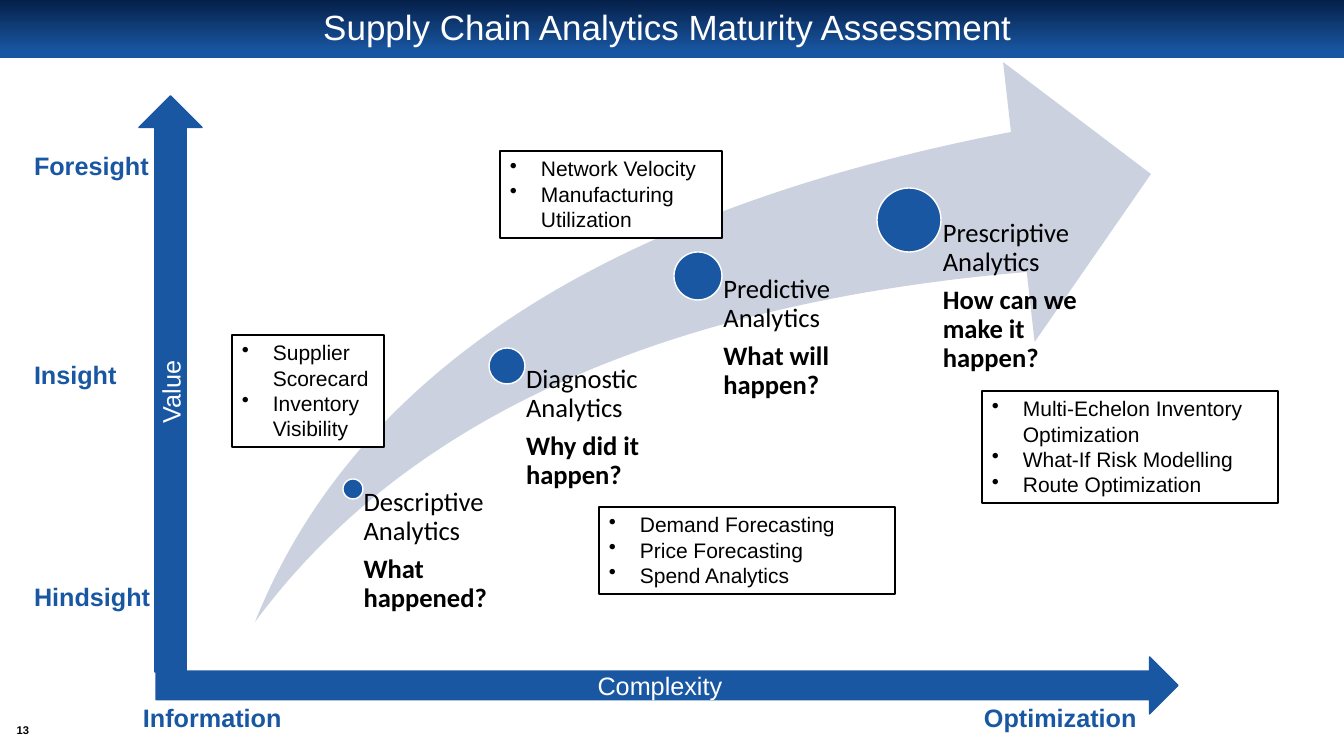
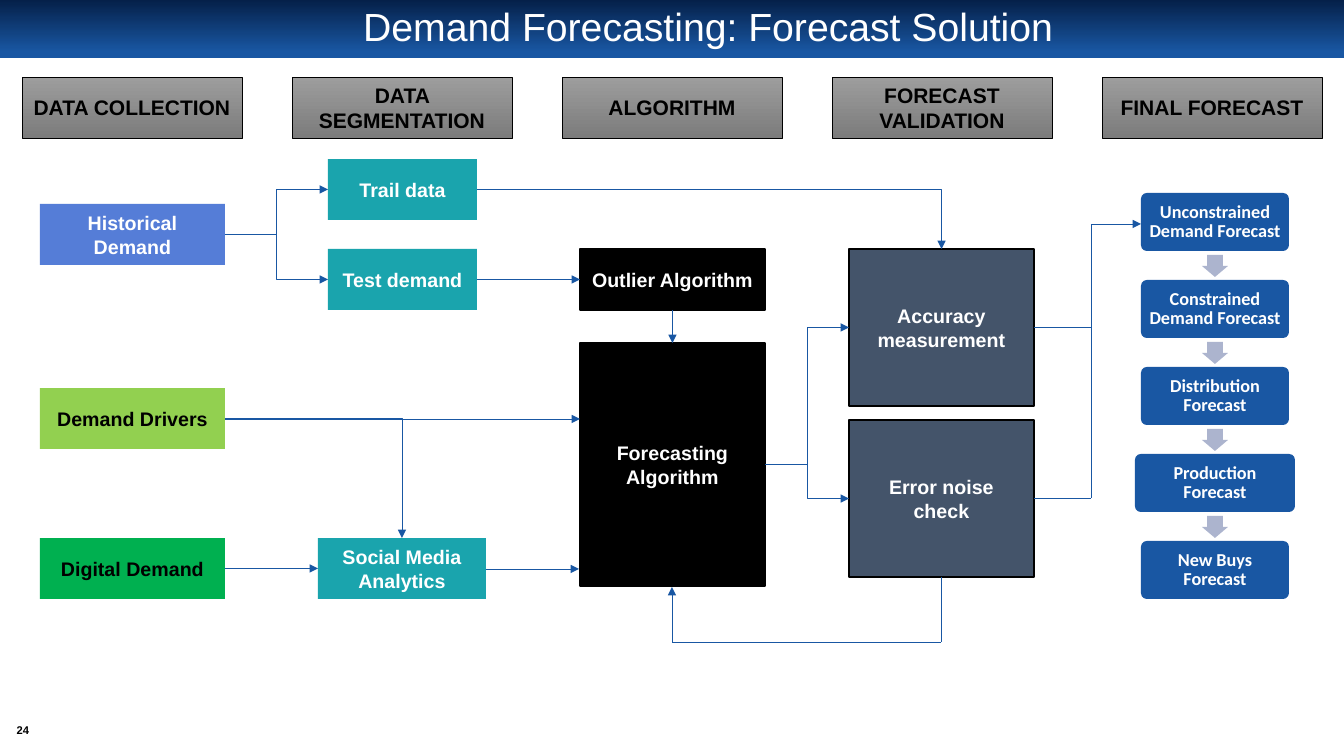
from lxml.etree import SubElement
from pptx import Presentation
from pptx.dml.color import RGBColor
from pptx.enum.shapes import MSO_CONNECTOR as CONN, MSO_SHAPE as SHAPE
from pptx.enum.text import MSO_ANCHOR as ANCHOR, MSO_AUTO_SIZE as AUTO, PP_ALIGN as ALIGN
from pptx.oxml.ns import qn
from pptx.util import Emu, Pt

NAVY = RGBColor(0x05, 0x20, 0x49)
BLUE = RGBColor(0x19, 0x57, 0xA3)
WHITE = RGBColor(0xFF, 0xFF, 0xFF)
BLACK = RGBColor(0x00, 0x00, 0x00)
SWOOSH = RGBColor(0xCC, 0xD1, 0xE0)
LAVENDER = RGBColor(0xAC, 0xB4, 0xCE)
PERIWINKLE = RGBColor(0x55, 0x7D, 0xD7)
LIME = RGBColor(0x92, 0xD0, 0x50)
GREEN = RGBColor(0x00, 0xB0, 0x50)
TEAL = RGBColor(0x1A, 0xA4, 0xAD)
SLATE = RGBColor(0x44, 0x54, 0x6A)
GREY_TOP = RGBColor(0x9D, 0x9D, 0x9D)
GREY_END = RGBColor(0x7C, 0x7C, 0x7C)

WIDTH, HEIGHT = 1344, 756
TOP, LEFT, BOTTOM, RIGHT = range(4)


def px(n):
    """Turn pixels into EMU."""
    return Emu(round(n * 914400 / 100.8))


def write(s, *lines, size=14, color=BLACK, bold=False, font="Arial", align=ALIGN.LEFT,
          anchor=ANCHOR.TOP, inset=None, spacing=None, after=0, bullet=False):
    """Fill a shape with one formatted paragraph for each line."""
    tf = s.text_frame
    tf.word_wrap = True
    tf.auto_size = AUTO.NONE
    tf.vertical_anchor = anchor
    if inset is not None:
        tf.margin_left, tf.margin_top, tf.margin_right, tf.margin_bottom = map(px, inset)
    for i, line in enumerate(lines):
        p = tf.add_paragraph() if i else tf.paragraphs[0]
        if bullet:
            pPr = p._p.get_or_add_pPr()
            pPr.set("marL", str(px(31)))
            pPr.set("indent", str(-px(31)))
            SubElement(pPr, qn("a:buChar")).set("char", "•")
        p.alignment = align
        p.space_after = Pt(after)
        if spacing:
            p.line_spacing = spacing
        r = p.add_run()
        r.text = line
        r.font.size = Pt(size)
        r.font.name = font
        r.font.bold = bold
        r.font.color.rgb = color
    return tf


def label(slide, box, *lines, **fmt):
    """Add a text box without insets unless they are given."""
    s = slide.shapes.add_textbox(*map(px, box))
    write(s, *lines, **{"inset": (0, 0, 0, 0), **fmt})
    return s


def shape(slide, kind, box, fill, line=None, weight=1, adj=()):
    """Add a flat preset shape with a plain or a two-colour gradient fill."""
    s = slide.shapes.add_shape(kind, *map(px, box))
    s.shadow.inherit = False
    for i, value in enumerate(adj):
        s.adjustments[i] = value
    if isinstance(fill, list):
        s.fill.gradient()
        s.fill.gradient_angle = 270
        for stop, (position, color) in zip(s.fill.gradient_stops, fill):
            stop.position = position
            stop.color.rgb = color
    else:
        s.fill.solid()
        s.fill.fore_color.rgb = fill
    if line is None:
        s.line.fill.background()
    else:
        s.line.color.rgb = line
        s.line.width = Pt(weight)
    return s


def connect(slide, kind, start, end, arrow=True):
    """Add a thin blue connector between two points."""
    c = slide.shapes.add_connector(kind, *map(px, start + end))
    c.line.color.rgb = BLUE
    c.line.width = Pt(0.5)
    if arrow:
        SubElement(c.line._get_or_add_ln(), qn("a:tailEnd")).set("type", "triangle")
    SubElement(c.element.spPr, qn("a:effectLst"))
    return c


def glue(slide, a, a_site, b, b_site, kind=CONN.STRAIGHT, corner=False):
    """Join two shapes at their connection sites."""
    c = connect(slide, kind, (0, 0), (0, 0))
    c.begin_connect(a, a_site)
    c.end_connect(b, b_site)
    if corner:
        c.element.find(".//" + qn("a:prstGeom")).set("prst", "bentConnector2")


def route(slide, *points, arrow=True):
    """Draw straight segments through points, with the arrowhead on the last."""
    for i in range(len(points) - 1):
        connect(slide, CONN.STRAIGHT, points[i], points[i + 1],
                arrow and i == len(points) - 2)


def add_band(slide):
    """Draw the title band once and hand it to the layout."""
    s = shape(slide, SHAPE.RECTANGLE, (0, 0, WIDTH, 58), [(0, NAVY), (0.9, BLUE)])
    slide.slide_layout.shapes.element.insert(2, s.element)


def new_slide(prs, title, box, size, number):
    """Add a title-only slide with its title and number."""
    slide = prs.slides.add_slide(prs.slide_layouts[5])
    s = slide.shapes.title
    s.left, s.top, s.width, s.height = map(px, box)
    write(s, title, size=size, color=WHITE, align=ALIGN.CENTER,
          anchor=ANCHOR.MIDDLE, spacing=0.9)
    label(slide, (8, 720, 30, 19), number, size=8, bold=True,
          align=ALIGN.CENTER, anchor=ANCHOR.MIDDLE)
    return slide


def add_stage(slide, x, y, d, width, name, question):
    """Place a dot centred on x, y and its caption below right."""
    shape(slide, SHAPE.OVAL, (x - d / 2, y - d / 2, d, d), BLUE, WHITE)
    s = label(slide, (x, y, width, 622 - y), name, question, size=19, font="Calibri",
              inset=(d * 0.53, 0, 0, 0), spacing=0.9, after=6.65)
    s.text_frame.paragraphs[1].runs[0].font.bold = True


def add_growth(slide, box):
    """Draw the swoosh and the four analytics stages on it."""
    shape(slide, SHAPE.SWOOSH_ARROW, box, SWOOSH, adj=(0.25, 0.25))
    x, y = box[:2]
    for dx, dy, d, width, name, question in (
        (98, 427, 20, 153, "Descriptive Analytics", "What happened?"),
        (252, 304, 36, 188, "Diagnostic Analytics", "Why did it happen?"),
        (443, 214, 48, 188, "Predictive Analytics", "What will happen?"),
        (654, 158, 64, 188, "Prescriptive Analytics", "How can we make it happen?"),
    ):
        add_stage(slide, x + dx, y + dy, d, width, name, question)


def add_axes(slide):
    """Draw the two axis arrows and their tick labels."""
    fmt = dict(size=18, color=WHITE, align=ALIGN.CENTER, anchor=ANCHOR.MIDDLE)
    s = shape(slide, SHAPE.RIGHT_ARROW, (156, 657, 1022, 57), BLUE, BLUE)
    write(s, "Complexity", **fmt)
    s = shape(slide, SHAPE.UP_ARROW, (139, 96, 63, 576), BLUE, BLUE)
    write(s, "Value", **fmt)
    s.element.find(".//" + qn("a:bodyPr")).set("vert", "vert270")
    for x, y, width, text in (
        (143, 702, 178, "Information"), (984, 702, 178, "Optimization"),
        (34, 581, 136, "Hindsight"), (34, 359, 136, "Insight"), (34, 150, 136, "Foresight"),
    ):
        label(slide, (x, y, width, 30), text, size=18, color=BLUE, bold=True)


def build_maturity(prs):
    """Build the maturity slide."""
    slide = new_slide(prs, "Supply Chain Analytics Maturity Assessment",
                      (10, 6, 1314, 47), 25, "13")
    add_band(slide)
    add_growth(slide, (255, 62, 896, 560))
    add_axes(slide)
    for box, lines in (
        ((232, 335, 152, 112), ("Supplier Scorecard", "Inventory Visibility")),
        ((500, 151, 222, 87), ("Network Velocity", "Manufacturing Utilization")),
        ((599, 507, 296, 87), ("Demand Forecasting", "Price Forecasting", "Spend Analytics")),
        ((982, 391, 296, 112), ("Multi-Echelon Inventory Optimization",
                                "What-If Risk Modelling", "Route Optimization")),
    ):
        write(shape(slide, SHAPE.RECTANGLE, box, WHITE, BLACK), *lines, size=15, bullet=True)


def add_headers(slide, x, y, pitch):
    """Draw the row of phase headers."""
    for i, text in enumerate(("DATA COLLECTION", "DATA SEGMENTATION", "ALGORITHM",
                              "FORECAST VALIDATION", "FINAL FORECAST")):
        s = shape(slide, SHAPE.RECTANGLE, (x + i * pitch, y, 220, 61),
                  [(0, GREY_TOP), (1, GREY_END)], BLACK, 0.5)
        write(s, text, size=15, bold=True, align=ALIGN.CENTER, anchor=ANCHOR.MIDDLE)


def add_forecasts(slide, center, y, pitch):
    """Draw the chain of final forecasts and the arrows between them."""
    names = ("Unconstrained Demand Forecast", "Constrained Demand Forecast",
             "Distribution Forecast", "Production Forecast", "New Buys Forecast")
    for i, text in enumerate(names):
        top = y + i * pitch
        width = 160 if text.startswith("Production") else 148
        s = shape(slide, SHAPE.ROUNDED_RECTANGLE, (center - width / 2, top, width, 58),
                  BLUE, adj=(0.1,))
        write(s, text, size=13, color=WHITE, bold=True, font="Calibri", align=ALIGN.CENTER,
              anchor=ANCHOR.MIDDLE, inset=(6, 6, 6, 6), spacing=0.9)
        if i < len(names) - 1:
            shape(slide, SHAPE.DOWN_ARROW, (center - 13, top + 62, 26, 22),
                  LAVENDER, adj=(0.6, 0.5))


def add_nodes(slide):
    """Draw the process boxes and return them by name."""
    nodes = {}
    for text, box, fill, color, line in (
        ("Historical Demand", (40, 204, 185, 61), PERIWINKLE, WHITE, None),
        ("Demand Drivers", (40, 388, 185, 61), LIME, BLACK, None),
        ("Digital Demand", (40, 538, 185, 61), GREEN, BLACK, None),
        ("Social Media Analytics", (318, 538, 168, 61), TEAL, WHITE, None),
        ("Trail data", (328, 159, 149, 61), TEAL, WHITE, None),
        ("Test demand", (328, 249, 149, 61), TEAL, WHITE, None),
        ("Outlier Algorithm", (580, 249, 185, 61), BLACK, WHITE, BLACK),
        ("Forecasting Algorithm", (580, 343, 185, 243), BLACK, WHITE, BLACK),
        ("Accuracy measurement", (849, 249, 185, 157), SLATE, WHITE, BLACK),
        ("Error noise check", (849, 420, 185, 157), SLATE, WHITE, BLACK),
    ):
        s = nodes[text] = shape(slide, SHAPE.RECTANGLE, box, fill, line)
        write(s, text, size=14, color=color, bold=True,
              align=ALIGN.CENTER, anchor=ANCHOR.MIDDLE)
    return nodes


def add_flow(slide, nodes):
    """Connect the process boxes."""
    for a, b in (("Historical Demand", "Trail data"), ("Historical Demand", "Test demand"),
                 ("Forecasting Algorithm", "Accuracy measurement"),
                 ("Forecasting Algorithm", "Error noise check")):
        glue(slide, nodes[a], RIGHT, nodes[b], LEFT, CONN.ELBOW)
    for a, b in (("Demand Drivers", "Social Media Analytics"),
                 ("Trail data", "Accuracy measurement")):
        glue(slide, nodes[a], RIGHT, nodes[b], TOP, CONN.ELBOW, corner=True)
    for a, b in (("Digital Demand", "Social Media Analytics"),
                 ("Test demand", "Outlier Algorithm")):
        glue(slide, nodes[a], RIGHT, nodes[b], LEFT)
    glue(slide, nodes["Outlier Algorithm"], BOTTOM, nodes["Forecasting Algorithm"], TOP)
    route(slide, (225, 419), (580, 419))
    route(slide, (486, 569), (579, 569))
    route(slide, (1034, 327), (1091, 327), (1091, 224), (1141, 224))
    route(slide, (1034, 498), (1091, 498), (1091, 327), arrow=False)
    route(slide, (941, 577), (941, 642), (672, 642), (672, 587))


def build_forecast(prs):
    """Build the forecast solution slide."""
    slide = new_slide(prs, "Demand Forecasting: Forecast Solution",
                      (184, 9, 1048, 39), 28, "24")
    add_headers(slide, 22, 77, 270)
    add_flow(slide, add_nodes(slide))
    add_forecasts(slide, 1215, 193, 87)


def main():
    """Build and save the presentation."""
    prs = Presentation()
    prs.slide_width, prs.slide_height = px(WIDTH), px(HEIGHT)
    build_maturity(prs)
    build_forecast(prs)
    prs.save("out.pptx")


if __name__ == "__main__":
    main()
